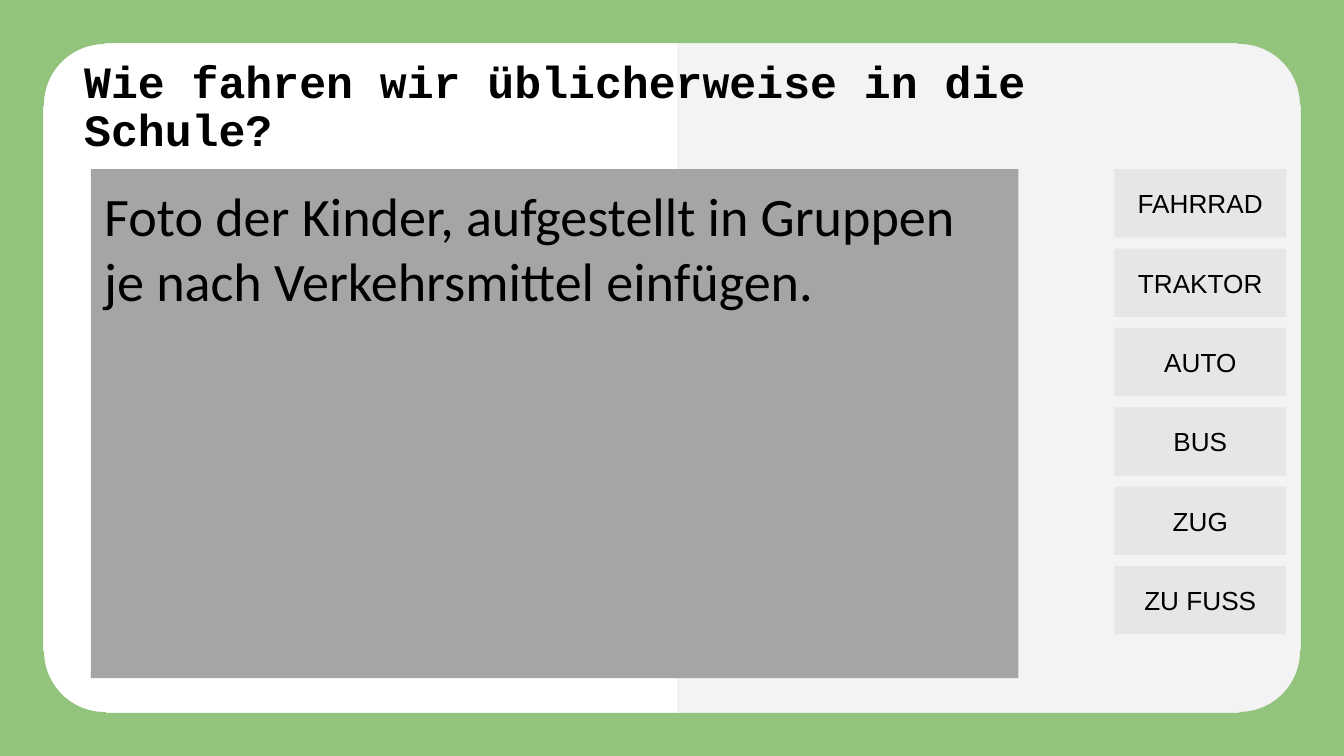
from pptx import Presentation
from pptx.dml.color import RGBColor
from pptx.enum.shapes import MSO_SHAPE as Shape
from pptx.enum.text import MSO_ANCHOR as Anchor, MSO_AUTO_SIZE as AutoSize, PP_ALIGN as Align
from pptx.util import Cm, Pt

GREEN = RGBColor(0x93, 0xC4, 0x7D)
PANEL_GREY = RGBColor(0xF3, 0xF3, 0xF3)
LABEL_GREY = RGBColor(0xE7, 0xE6, 0xE6)
PHOTO_GREY = RGBColor(0xA5, 0xA5, 0xA5)
BLACK = RGBColor(0, 0, 0)

WIDTH, HEIGHT = 25.4, 14.29

prs = Presentation()
prs.slide_width, prs.slide_height = Cm(WIDTH), Cm(HEIGHT)
slide = prs.slides.add_slide(prs.slide_layouts[5])


def add_area(kind, left, top, width, height, color):
    area = slide.shapes.add_shape(kind, Cm(left), Cm(top), Cm(width), Cm(height))
    area.shadow.inherit = False
    area.fill.solid()
    area.fill.fore_color.rgb = color
    area.line.fill.background()
    return area


def write(frame, text, font, size, align, anchor, inset_x, inset_y):
    frame.word_wrap = True
    frame.auto_size = AutoSize.NONE
    frame.vertical_anchor = anchor
    frame.margin_left = frame.margin_right = Cm(inset_x)
    frame.margin_top = frame.margin_bottom = Cm(inset_y)
    paragraph = frame.paragraphs[0]
    paragraph.alignment = align
    run = paragraph.add_run()
    run.text = text
    run.font.name = font
    run.font.size = Pt(size)
    run.font.color.rgb = BLACK
    return paragraph


# Right half and green border
add_area(Shape.RECTANGLE, 12.8, 0, WIDTH - 12.8, HEIGHT, PANEL_GREY)
border = add_area(Shape.FRAME, 0, 0, WIDTH, HEIGHT, GREEN)
border.adjustments[0] = 0.057

# Rounded corners, clockwise from the top right
CORNER = 3.96
right, bottom = WIDTH - CORNER, HEIGHT - CORNER
for quarter, (left, top) in enumerate([(right, 0), (right, bottom), (0, bottom), (0, 0)]):
    corner = add_area(Shape.BLOCK_ARC, left, top, CORNER, CORNER, GREEN)
    corner.rotation = 90 * quarter
    # Angles are in 60000ths of a degree, divided by 100000
    for index, value in enumerate([269 * 0.6, 360 * 0.6, 0.21]):
        corner.adjustments[index] = value

# Question, brought in front of the background
question = slide.shapes.title
slide.shapes._spTree.append(question._element)
question.left, question.top = Cm(1.4), Cm(1.24)
question.width, question.height = Cm(21.9), Cm(1.6)
heading = write(question.text_frame, "Wie fahren wir üblicherweise in die Schule?",
                "Courier New", 24, Align.LEFT, Anchor.MIDDLE, 0.19, 0.1)
heading.line_spacing = 0.9
heading.runs[0].font.bold = True

# Means of transport
CONTENT_TOP = 3.2
LABEL_STEP = 1.5
for row, transport in enumerate(["FAHRRAD", "TRAKTOR", "AUTO", "BUS", "ZUG", "ZU FUSS"]):
    label = add_area(Shape.RECTANGLE, 21.06, CONTENT_TOP + row * LABEL_STEP, 3.25, 1.29, LABEL_GREY)
    write(label.text_frame, transport, "Arial", 14, Align.CENTER, Anchor.MIDDLE, 0.25, 0.25)

# Space for the class photo
photo = add_area(Shape.RECTANGLE, 1.72, CONTENT_TOP, 17.53, 9.62, PHOTO_GREY)
write(photo.text_frame, "Foto der Kinder, aufgestellt in Gruppen je nach Verkehrsmittel einfügen.",
      "Calibri", 29, Align.LEFT, Anchor.TOP, 0.25, 0.25)

prs.save("out.pptx")
